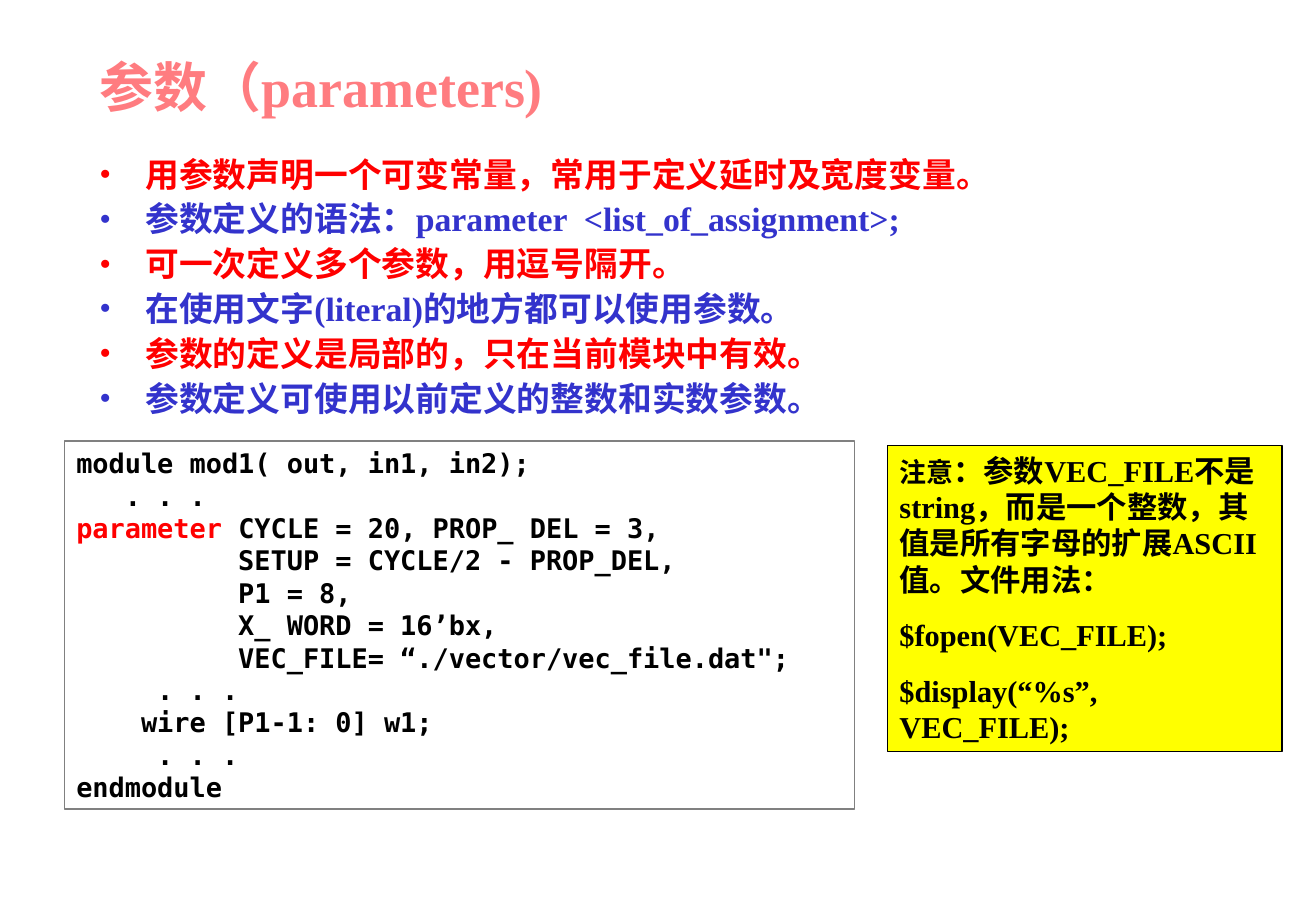
"""Build a slide on Verilog parameters: title, rules, code sample and a note."""
from lxml import etree
from pptx import Presentation
from pptx.dml.color import RGBColor
from pptx.enum.shapes import MSO_SHAPE
from pptx.enum.text import MSO_ANCHOR, MSO_AUTO_SIZE, PP_ALIGN
from pptx.oxml.ns import qn
from pptx.util import Inches, Pt

RECTANGLE = MSO_SHAPE.RECTANGLE
TOP, MIDDLE = MSO_ANCHOR.TOP, MSO_ANCHOR.MIDDLE
GROW = MSO_AUTO_SIZE.SHAPE_TO_FIT_TEXT
LEFT = PP_ALIGN.LEFT

THEME = {
    "serif": "Times New Roman", "mono": "DejaVu Sans Mono",
    "pink": "FF7C80", "red": "FF0000", "blue": "3333CC",
    "black": "000000", "grey": "808080", "yellow": "FFFF00",
    "title": 32, "rule": 20, "note": 18, "code": 16,
}

presentation = Presentation()
presentation.slide_width, presentation.slide_height = Inches(10.84), Inches(7.5)
slide = presentation.slides.add_slide(presentation.slide_layouts[6])
column, row = presentation.slide_width / 100, presentation.slide_height / 100


def area(left, top, width, height):
    """Turn percentages of the slide into lengths."""
    return (round(left * column), round(top * row),
            round(width * column), round(height * row))


def write(frame, paragraphs, font, gap=0, anchor=TOP):
    """Fill a frame with paragraphs made of (text, colour, size) runs."""
    frame.word_wrap = True
    frame.vertical_anchor = anchor
    for number, pieces in enumerate(paragraphs):
        paragraph = frame.add_paragraph() if number else frame.paragraphs[0]
        paragraph.alignment = LEFT
        paragraph.space_before = Pt(gap if number else 0)
        for text, colour, size in pieces:
            run = paragraph.add_run()
            run.text = text
            run.font.name = THEME[font]
            run.font.size = Pt(THEME[size])
            run.font.bold = True
            run.font.color.rgb = RGBColor.from_string(THEME[colour])


title = slide.shapes.add_textbox(*area(6.64, 1.07, 93.27, 16.67))
write(title.text_frame, [[("参数（parameters)", "pink", "title")]], "serif", anchor=MIDDLE)

rules = [
    "用参数声明一个可变常量，常用于定义延时及宽度变量。",
    "参数定义的语法：parameter  <list_of_assignment>;",
    "可一次定义多个参数，用逗号隔开。",
    "在使用文字(literal)的地方都可以使用参数。",
    "参数的定义是局部的，只在当前模块中有效。",
    "参数定义可使用以前定义的整数和实数参数。",
]
rule_colours = [("red", "blue")[number % 2] for number in range(len(rules))]
rule_list = slide.shapes.add_textbox(*area(6.64, 16.67, 83.3, 32.27))
write(rule_list.text_frame,
      [[(rule, colour, "rule")] for rule, colour in zip(rules, rule_colours)],
      "serif", gap=5)
for rule, colour in zip(rule_list.text_frame.paragraphs, rule_colours):
    rule.line_spacing = 0.9
    properties = rule._p.get_or_add_pPr()
    properties.set("marL", str(Inches(0.38)))
    properties.set("indent", str(-Inches(0.38)))
    bullet_colour = etree.SubElement(properties, qn("a:buClr"))
    etree.SubElement(bullet_colour, qn("a:srgbClr"), val=THEME[colour])
    etree.SubElement(properties, qn("a:buFont"), typeface=THEME["serif"])
    etree.SubElement(properties, qn("a:buChar"), char="•")

code = """module mod1( out, in1, in2);
   . . .
parameter CYCLE = 20, PROP_ DEL = 3,
          SETUP = CYCLE/2 - PROP_DEL,
          P1 = 8,
          X_ WORD = 16’bx,
          VEC_FILE= “./vector/vec_file.dat";
     . . .
    wire [P1-1: 0] w1;
     . . .
endmodule"""
keyword = "parameter"
code_lines = []
for line in code.splitlines():
    if line.startswith(keyword):
        code_lines.append([(keyword, "red", "code"),
                           (line.removeprefix(keyword), "black", "code")])
    else:
        code_lines.append([(line, "black", "code")])

note_lines = [
    [("注意", "black", "code"),
     ("：参数VEC_FILE不是string，而是一个整数，其值是所有字母的扩展ASCII值。文件用法：",
      "black", "note")],
    [("$fopen(VEC_FILE);", "black", "note")],
    [("$display(“%s”, VEC_FILE);", "black", "note")],
]

panels = [
    (area(4.89, 48.4, 60.06, 40.4), None, "grey", code_lines, "mono", 0),
    (area(67.44, 48.93, 29.98, 33.6), "yellow", "black", note_lines, "serif", 11.2),
]
for place, fill, outline, lines, font, gap in panels:
    panel = slide.shapes.add_shape(RECTANGLE, *place)
    panel.shadow.inherit = False
    if fill:
        panel.fill.solid()
        panel.fill.fore_color.rgb = RGBColor.from_string(THEME[fill])
    else:
        panel.fill.background()
    panel.line.color.rgb = RGBColor.from_string(THEME[outline])
    panel.line.width = Pt(0.75)
    write(panel.text_frame, lines, font, gap)
    panel.text_frame.auto_size = GROW

presentation.save("out.pptx")
